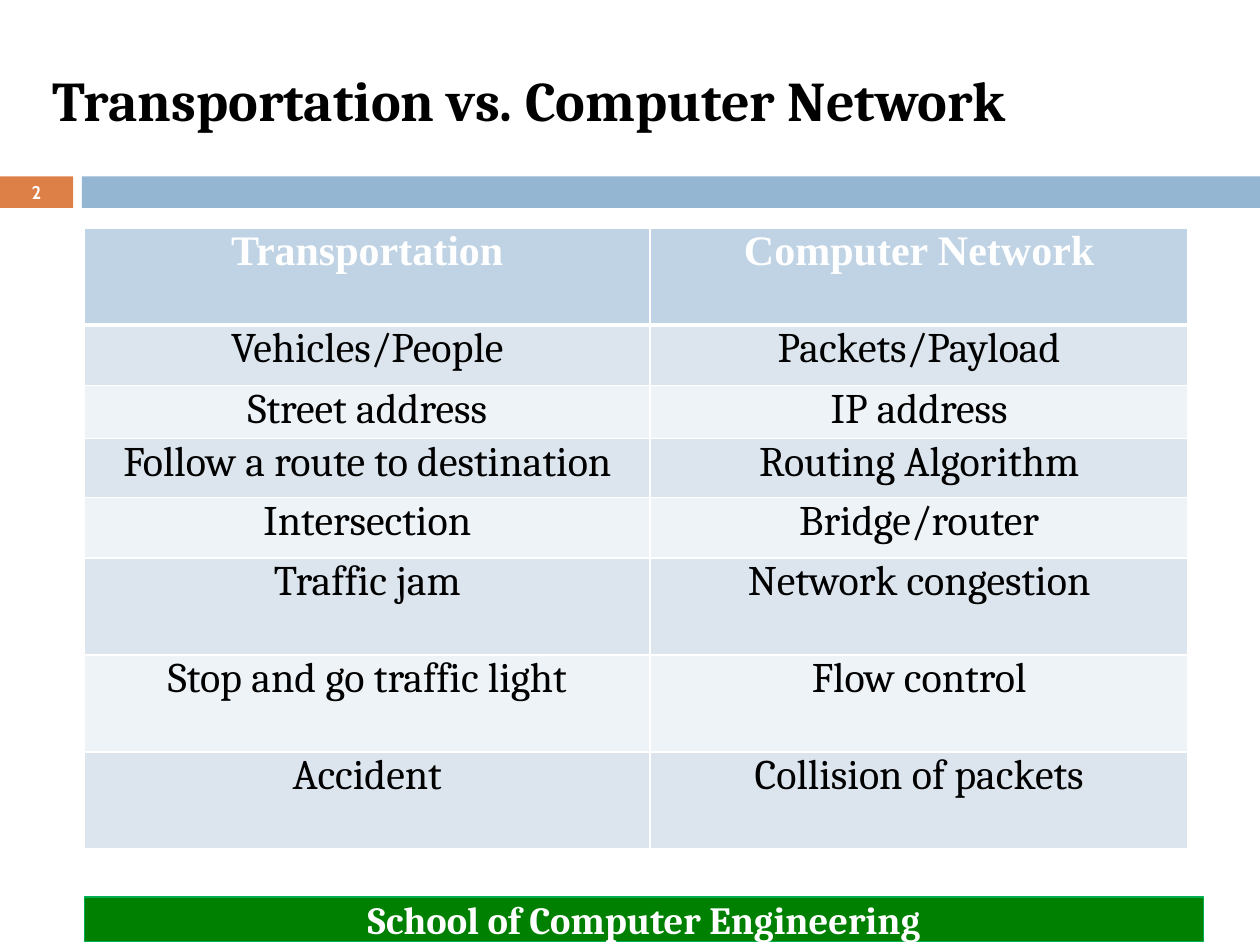
from lxml import etree
from pptx import Presentation
from pptx.dml.color import RGBColor
from pptx.enum.shapes import MSO_SHAPE
from pptx.enum.text import MSO_ANCHOR, PP_ALIGN
from pptx.oxml.ns import qn
from pptx.util import Inches, Pt

RECT = MSO_SHAPE.RECTANGLE
MIDDLE, TOP = MSO_ANCHOR.MIDDLE, MSO_ANCHOR.TOP
LEFT, CENTER = PP_ALIGN.LEFT, PP_ALIGN.CENTER
WIDTH, HEIGHT = Inches(10), Inches(7.5)
COLS, ROWS = 100, 75
COLORS = {
    "orange": "DD8047", "blue": "94B6D2", "green": "008000", "edge": "00B050",
    "head": "BFD3E4", "dark": "DCE5EE", "light": "EEF3F7",
    "white": "FFFFFF", "black": "000000",
}
FORMATS = {
    "title": {"name": "Cambria", "size": Pt(32), "bold": True},
    "number": {"name": "Cabin", "size": Pt(10.5), "bold": True},
    "footer": {"name": "Cambria", "size": Pt(22), "bold": True},
    "head": {"name": "Times New Roman", "size": Pt(24), "bold": True},
    "body": {"name": "Cambria", "size": Pt(24), "bold": False},
}
PAIRS = [
    ("Transportation", "Computer Network"),
    ("Vehicles/People", "Packets/Payload"),
    ("Street address", "IP address"),
    ("Follow a route to destination", "Routing Algorithm"),
    ("Intersection", "Bridge/router"),
    ("Traffic jam", "Network congestion"),
    ("Stop and go traffic light", "Flow control"),
    ("Accident", "Collision of packets"),
]


def color(key):
    return RGBColor.from_string(COLORS[key])


def across(cols):
    return round(WIDTH * cols / COLS)


def down(rows):
    return round(HEIGHT * rows / ROWS)


class Deck:
    def __init__(self):
        self.file = Presentation()
        self.file.slide_width, self.file.slide_height = WIDTH, HEIGHT
        self.slide = self.file.slides.add_slide(self.file.slide_layouts[6])

    def place(self, x, y, w, h):
        return across(x), down(y), across(w), down(h)

    def label(self, frame, text, style, ink, align=CENTER):
        frame.word_wrap = True
        para = frame.paragraphs[0]
        para.alignment = align
        run = para.add_run()
        run.text = text
        for key, value in FORMATS[style].items():
            setattr(run.font, key, value)
        run.font.color.rgb = color(ink)

    def text(self, box, text, style, ink, align=CENTER):
        frame = self.slide.shapes.add_textbox(*self.place(*box)).text_frame
        frame.vertical_anchor = MIDDLE
        self.label(frame, text, style, ink, align)

    def bar(self, box, fill, edge=None):
        bar = self.slide.shapes.add_shape(RECT, *self.place(*box))
        bar.shadow.inherit = False
        bar.fill.solid()
        bar.fill.fore_color.rgb = color(fill)
        if edge:
            bar.line.color.rgb = color(edge)
            bar.line.width = Pt(0.75)
        else:
            bar.line.fill.background()
        return bar

    def border(self, cell, widths):
        props = cell._tc.get_or_add_tcPr()
        for side, width in widths.items():
            line = etree.SubElement(props, qn(f"a:ln{side}"), w=str(Pt(width)))
            fill = etree.SubElement(line, qn("a:solidFill"))
            etree.SubElement(fill, qn("a:srgbClr"), val=COLORS["white"])

    def cell(self, cell, text, row):
        style, ink = ("body", "black") if row else ("head", "white")
        fill = ("light", "dark")[row % 2] if row else "head"
        for side in ("left", "top", "right", "bottom"):
            setattr(cell, f"margin_{side}", 0)
        cell.vertical_anchor = TOP
        top, base = 3 if row == 1 else 1, 1 if row else 3
        self.border(cell, {"L": 1, "R": 1, "T": top, "B": base})
        cell.fill.solid()
        cell.fill.fore_color.rgb = color(fill)
        self.label(cell.text_frame, text, style, ink)

    def table(self, x, y, cols, rows, data):
        box = self.place(x, y, sum(cols), sum(rows))
        table = self.slide.shapes.add_table(len(rows), len(cols), *box).table
        for col, width in zip(table.columns, cols):
            col.width = across(width)
        for row, height in zip(table.rows, rows):
            row.height = down(height)
        for r, line in enumerate(data):
            for c, text in enumerate(line):
                self.cell(table.cell(r, c), text, r)


def main():
    deck = Deck()
    deck.bar((0, 14, 5.8, 2.5), "orange")
    deck.bar((6.5, 14, 93.5, 2.5), "blue")
    deck.text((3.2, 2.5, 92.6, 10.8), "Transportation vs. Computer Network",
              "title", "black", LEFT)
    deck.text((0, 13.9, 5.8, 2.7), "2", "number", "white")
    foot = deck.bar((6.7, 71.2, 88.8, 3.5), "green", "edge")
    foot.text_frame.vertical_anchor = MIDDLE
    deck.label(foot.text_frame, "School of Computer Engineering", "footer", "white")
    deck.table(6.7, 18.1, [44.9, 42.7],
               [7.7, 4.8, 4.2, 4.7, 4.8, 7.7, 7.7, 7.7], PAIRS)
    deck.file.save("out.pptx")


if __name__ == "__main__":
    main()
